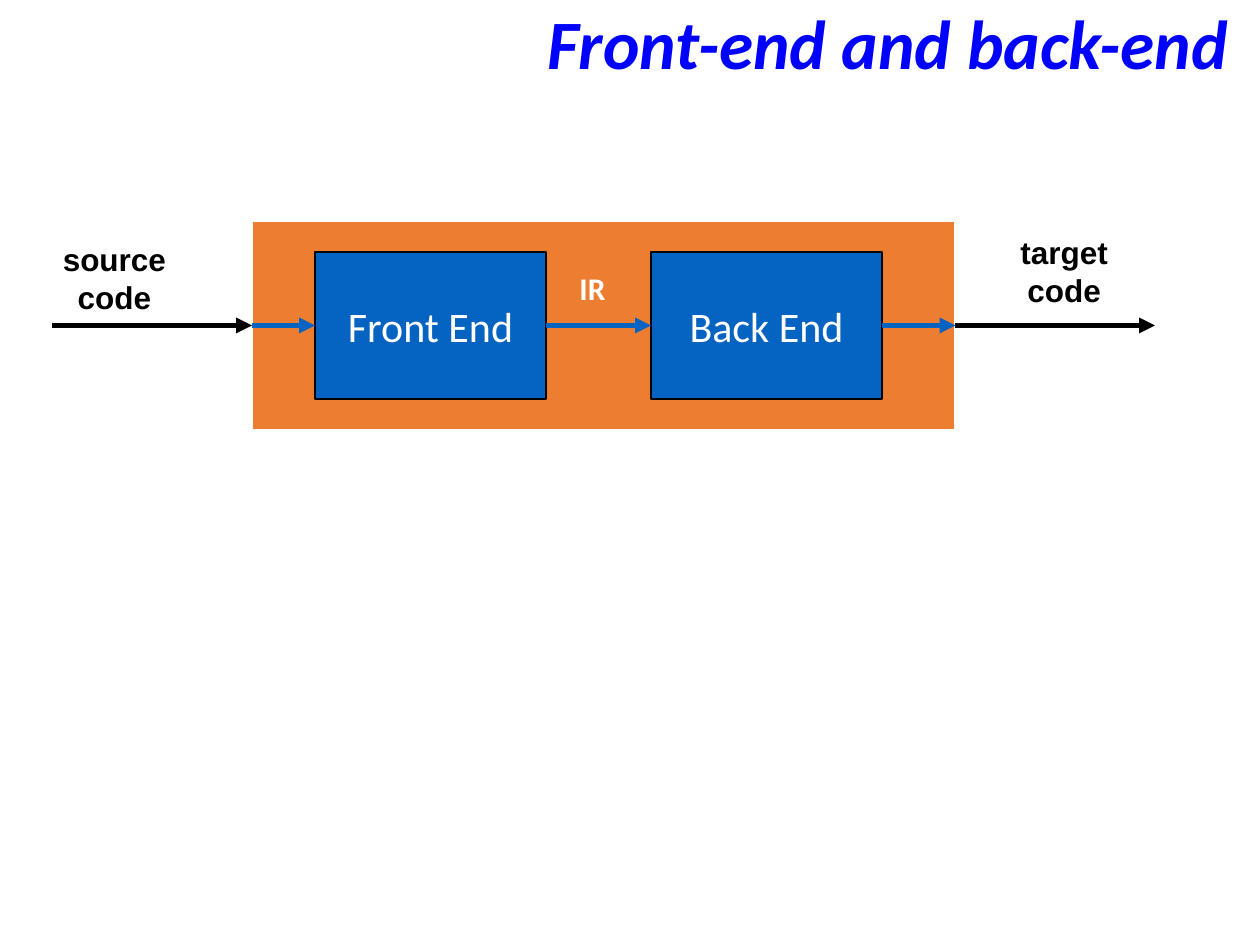
from lxml import etree
from pptx import Presentation
from pptx import util as u
from pptx.dml.color import RGBColor
from pptx.enum import shapes, text
from pptx.oxml import ns

PX = 7620  # EMU per px, 120 px to the inch
COLOURS = {"title": "0000FF", "compiler": "ED7D31", "stage": "0563C1",
           "ink": "000000", "paper": "FFFFFF"}

# Content
TITLE = ("Front-end and back-end", (2, 1, 1180, 88))
# name, text, place, fill, line colour, line width
BOXES = [
    ("compiler", "", (240, 210, 670, 200), "compiler", "paper", 1.5),
    ("front", "Front End", (300, 240, 220, 140), "stage", "ink", 0.75),
    ("back", "Back End", (620, 240, 220, 140), "stage", "ink", 0.75),
]
# lines, place, font, colour, alignment, wrap
LABELS = [
    (["source", "code"], (7, 223, 204, 85), "Arial", "ink", "CENTER", True),
    (["target", "code"], (944, 216, 139, 85), "Arial", "ink", "CENTER", True),
    (["IR"], (540, 250, 49, 48), "Calibri", "paper", "LEFT", False),
]
LEFT, RIGHT = 1, 3  # connection sites of a rectangle
# each end is an x position or a (box, side) pair
ARROWS = [
    (50, ("compiler", LEFT), "ink"),
    (("compiler", RIGHT), 1100, "ink"),
    (("compiler", LEFT), ("front", LEFT), "stage"),
    (("front", RIGHT), ("back", LEFT), "stage"),
    (("back", RIGHT), ("compiler", RIGHT), "stage"),
]
AXIS = 310  # height of the flow line


def emu(place):
    return [u.Emu(value * PX) for value in place]


def colour(name):
    return RGBColor.from_string(COLOURS[name])


def write(shape, lines, colour_name, align, wrap, anchor, line_spacing=None, **font):
    frame = shape.text_frame
    frame.text = "\n".join(lines)
    frame.auto_size = text.MSO_AUTO_SIZE.NONE
    frame.word_wrap = wrap
    frame.vertical_anchor = text.MSO_ANCHOR[anchor]
    for para in frame.paragraphs:
        para.alignment = text.PP_ALIGN[align]
        para.line_spacing = line_spacing
        for span in para.runs:
            for key, value in font.items():
                setattr(span.font, key, value)
            span.font.color.rgb = colour(colour_name)


def add_arrow(page, boxes, start, end, colour_name):
    xs = [boxes[point[0]].left + (boxes[point[0]].width if point[1] == RIGHT else 0)
          if isinstance(point, tuple) else point * PX for point in (start, end)]
    arrow = page.shapes.add_connector(shapes.MSO_CONNECTOR.STRAIGHT,
                                      xs[0], AXIS * PX, xs[1], AXIS * PX)
    for point, join in ((start, arrow.begin_connect), (end, arrow.end_connect)):
        if isinstance(point, tuple):
            join(boxes[point[0]], point[1])
    arrow.line.color.rgb = colour(colour_name)
    arrow.line.width = u.Pt(3)
    etree.SubElement(arrow.line._get_or_add_ln(), ns.qn("a:tailEnd"), type="triangle")
    etree.SubElement(arrow._element.spPr, ns.qn("a:effectLst"))


def main():
    deck = Presentation()
    deck.slide_width, deck.slide_height = emu((1200, 900))
    page = deck.slides.add_slide(deck.slide_layouts[5])

    # Title
    heading, place = TITLE
    title = page.shapes.title
    title.left, title.top, title.width, title.height = emu(place)
    write(title, [heading], "title", "RIGHT", True, "MIDDLE", 0.9,
          name="Calibri", size=u.Pt(39.6), bold=True, italic=True)

    # Compiler and its two stages
    boxes = {}
    for name, caption, place, fill, line, width in BOXES:
        box = page.shapes.add_shape(shapes.MSO_SHAPE.RECTANGLE, *emu(place))
        box.shadow.inherit = False
        box.fill.solid()
        box.fill.fore_color.rgb = colour(fill)
        box.line.color.rgb = colour(line)
        box.line.width = u.Pt(width)
        if caption:
            write(box, [caption], "paper", "CENTER", False, "MIDDLE",
                  name="Calibri", size=u.Pt(24))
        boxes[name] = box

    # Flow arrows
    for start, end, colour_name in ARROWS:
        add_arrow(page, boxes, start, end, colour_name)

    # Labels on the flow
    for lines, place, font, colour_name, align, wrap in LABELS:
        label = page.shapes.add_textbox(*emu(place))
        write(label, lines, colour_name, align, wrap, "TOP",
              name=font, size=u.Pt(18), bold=True)

    deck.save("out.pptx")


if __name__ == "__main__":
    main()
